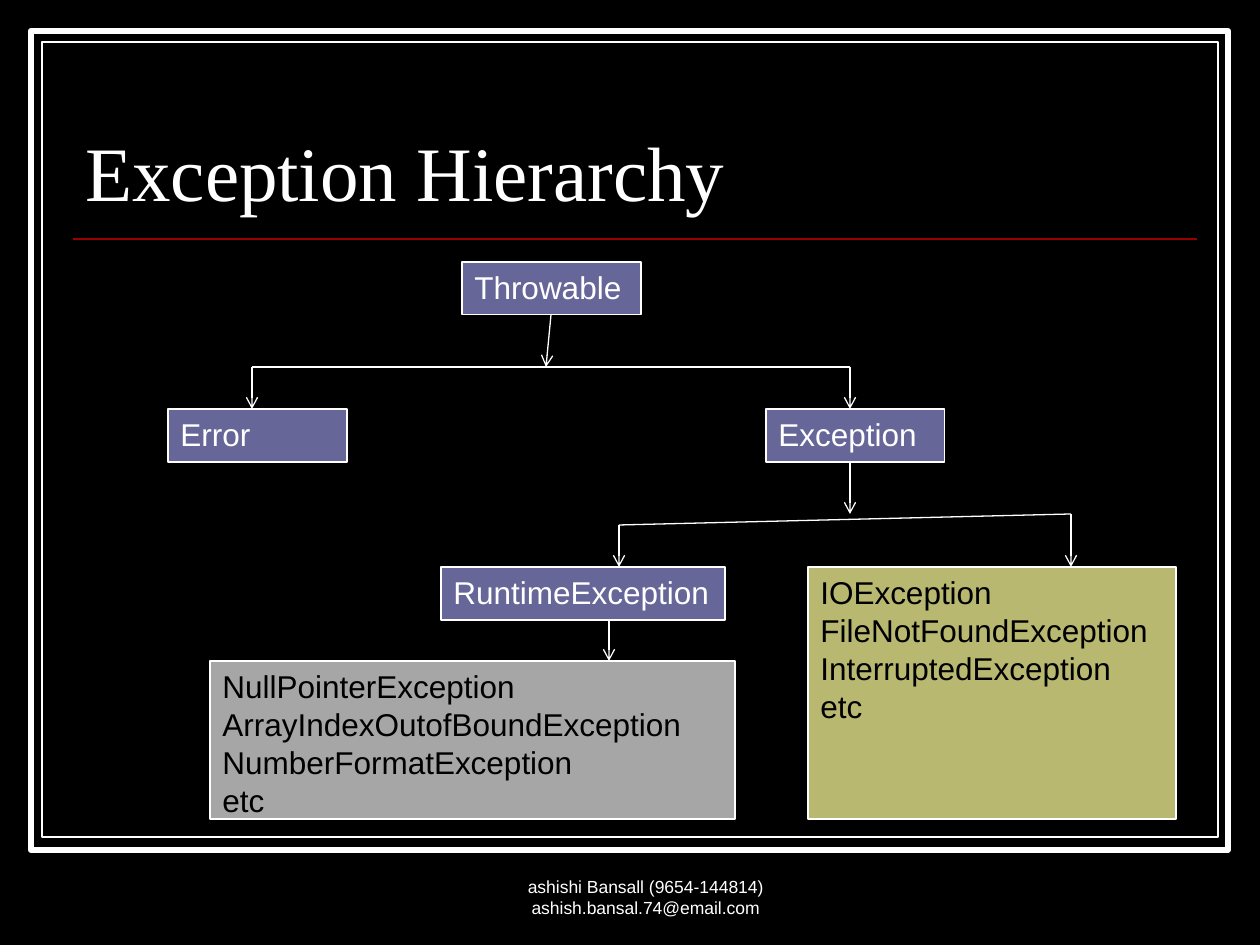
from dataclasses import dataclass

from lxml import etree
from pptx import Presentation
from pptx.dml.color import RGBColor
from pptx.enum.shapes import MSO_CONNECTOR, MSO_SHAPE
from pptx.enum.text import MSO_ANCHOR, PP_ALIGN
from pptx.oxml.ns import qn
from pptx.util import Pt

RECT = MSO_SHAPE.RECTANGLE
LINE = MSO_CONNECTOR.STRAIGHT
TOP, LOW = MSO_ANCHOR.TOP, MSO_ANCHOR.BOTTOM
LEFT, MID = PP_ALIGN.LEFT, PP_ALIGN.CENTER
SCALE = 914400 // 126


@dataclass(frozen=True)
class Theme:
    back: str = "000000"
    ink: str = "FFFFFF"
    rule: str = "990000"
    node: str = "666699"
    olive: str = "B8B870"
    gray: str = "A6A6A6"
    head: str = "Times New Roman"
    body: str = "Arial"
    big: int = 44
    text: int = 18
    small: int = 10
    thin: float = 0.75
    thick: float = 3.5


THEME = Theme()


def px(*vals):
    return [round(v * SCALE) for v in vals]


def rgb(code):
    return RGBColor.from_string(code)


def write(shape, rows, size, color, font=THEME.body, anchor=TOP,
          align=LEFT, gap=None):
    frame = shape.text_frame
    frame.word_wrap = True
    frame.vertical_anchor = anchor
    for i, row in enumerate(rows):
        para = frame.add_paragraph() if i else frame.paragraphs[0]
        para.alignment = align
        if gap:
            para.line_spacing = gap
        run = para.add_run()
        run.text = row
        run.font.name = font
        run.font.size = Pt(size)
        run.font.color.rgb = rgb(color)


def label(slide, area, rows, size, **style):
    box = slide.shapes.add_textbox(*px(*area))
    write(box, rows, size, THEME.ink, **style)


def panel(slide, area, fill, width=THEME.thin):
    shape = slide.shapes.add_shape(RECT, *px(*area))
    shape.shadow.inherit = False
    shape.fill.solid()
    shape.fill.fore_color.rgb = rgb(fill)
    shape.line.color.rgb = rgb(THEME.ink)
    shape.line.width = Pt(width)
    return shape


def node(slide, area, rows, fill=THEME.node, color=THEME.ink):
    write(panel(slide, area, fill), rows, THEME.text, color)


def link(slide, ends, arrow=True, color=THEME.ink, width=THEME.thin):
    line = slide.shapes.add_connector(LINE, *px(*ends))
    line.line.color.rgb = rgb(color)
    line.line.width = Pt(width)
    props = line.line._get_or_add_ln()
    if arrow:
        etree.SubElement(props, qn("a:tailEnd"), type="arrow")
    etree.SubElement(props.getparent(), qn("a:effectLst"))


def fork(slide, start, end, foot):
    """Draw a bar with an arrow down from each end."""
    link(slide, (*start, *end), arrow=False)
    for x, y in (start, end):
        link(slide, (x, y, x, foot))


def main():
    deck = Presentation()
    deck.slide_width, deck.slide_height = px(1260, 945)
    slide = deck.slides.add_slide(deck.slide_layouts[6])
    slide.background.fill.solid()
    slide.background.fill.fore_color.rgb = rgb(THEME.back)

    # Double frame and title rule
    panel(slide, (31, 31, 1197, 819), THEME.back, THEME.thick)
    panel(slide, (42, 42, 1176, 795), THEME.back)
    link(slide, (73, 239, 1197, 239), False, THEME.rule, 1)

    # Title and footer
    label(slide, (73, 66, 1124, 157), ["Exception Hierarchy"], THEME.big,
          font=THEME.head, anchor=LOW, gap=0.8)
    label(slide, (446, 861, 399, 63),
          ["ashishi Bansall (9654-144814) ashish.bansal.74@email.com"],
          THEME.small, anchor=LOW, align=MID)

    # Class boxes
    for name, x, y, wide in (
        ("Throwable", 462, 262, 179),
        ("Error", 168, 409, 179),
        ("Exception", 766, 409, 179),
        ("RuntimeException", 441, 567, 284),
    ):
        node(slide, (x, y, wide, 53), [name])

    # Lists of subclasses
    node(slide, (808, 567, 368, 252),
         ["IOException", "FileNotFoundException", "InterruptedException",
          "etc"], THEME.olive, THEME.back)
    node(slide, (210, 661, 525, 158),
         ["NullPointerException", "ArrayIndexOutofBoundException",
          "NumberFormatException", "etc"], THEME.gray, THEME.back)

    # Branches and stems
    fork(slide, (252, 367), (850, 367), 409)
    fork(slide, (619, 525), (1071, 514), 567)
    for ends in ((551, 315, 546, 367), (850, 462, 850, 514),
                 (609, 619, 609, 661)):
        link(slide, ends)

    deck.save("out.pptx")


main()
